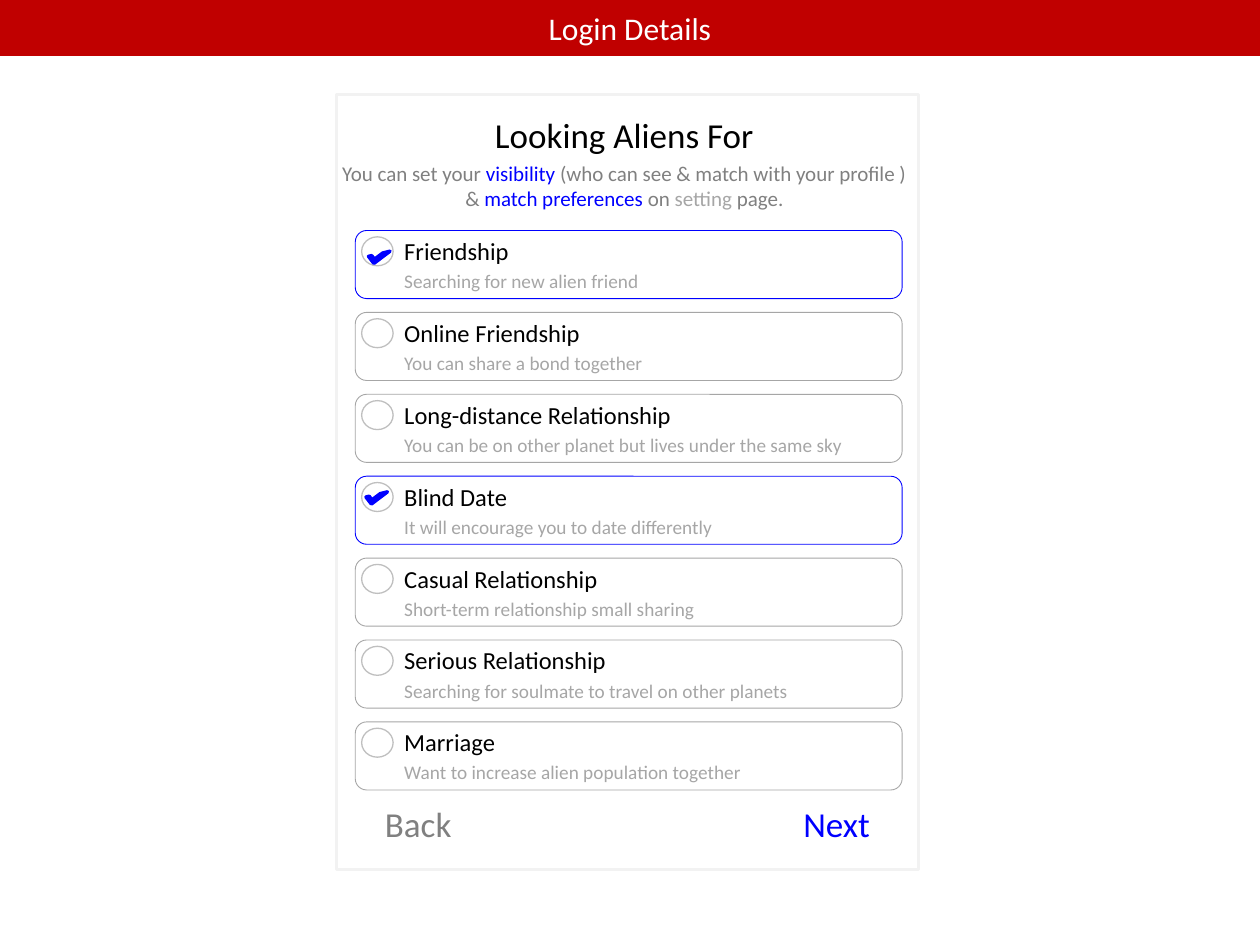
from pptx import Presentation
from pptx.dml.color import RGBColor
from pptx.enum.shapes import MSO_SHAPE
from pptx.enum.text import MSO_ANCHOR, PP_ALIGN
from pptx.oxml import parse_xml
from pptx.oxml.ns import nsdecls
from pptx.util import Pt

PX = 9144
RECT, ROUND = MSO_SHAPE.RECTANGLE, MSO_SHAPE.ROUNDED_RECTANGLE
OVAL, HALF_FRAME = MSO_SHAPE.OVAL, MSO_SHAPE.HALF_FRAME
LEFT, CENTER = PP_ALIGN.LEFT, PP_ALIGN.CENTER
BOTTOM, MIDDLE = MSO_ANCHOR.BOTTOM, MSO_ANCHOR.MIDDLE
BLUE, GRAY, LIGHT = "0000FF", "808080", "A6A6A6"
rgb = RGBColor.from_string

prs = Presentation()
prs.slide_width, prs.slide_height = 1000 * PX, 750 * PX
slide = prs.slides.add_slide(prs.slide_layouts[5])


def add_shape(kind, x, y, w, h, line, width, fill=None):
    sp = slide.shapes.add_shape(kind, x * PX, y * PX, w * PX, h * PX)
    sp.shadow.inherit = False
    if fill:
        sp.fill.solid()
        sp.fill.fore_color.rgb = rgb(fill)
    else:
        sp.fill.background()
    sp.line.color.rgb = rgb(line)
    sp.line.width = Pt(width)
    return sp


def add_text(x, y, w, h, align, *paragraphs):
    tf = slide.shapes.add_textbox(x * PX, y * PX, w * PX, h * PX).text_frame
    tf.word_wrap = True
    tf.vertical_anchor = BOTTOM
    for i, (size, runs) in enumerate(paragraphs):
        p = tf.add_paragraph() if i else tf.paragraphs[0]
        p.alignment = align
        p.space_before = Pt(size * 0.2)
        p.font.size = Pt(size)
        p.font.name = "Calibri"
        for text, color in runs:
            r = p.add_run()
            r.text = text
            r.font.color.rgb = rgb(color)


title = slide.shapes.title
title.left, title.top, title.width, title.height = 0, 0, 1000 * PX, 44 * PX
title._element.spPr.append(parse_xml(
    f'<a:prstGeom {nsdecls("a")} prst="roundRect"><a:avLst/></a:prstGeom>'))
title.fill.solid()
title.fill.fore_color.rgb = rgb("C00000")
title.line.color.rgb = rgb("C00000")
title.line.width = Pt(0.75)
tf = title.text_frame
tf.text = "Login Details"
tf.vertical_anchor = MIDDLE
p = tf.paragraphs[0]
p.alignment = CENTER
p.font.size = Pt(18)
p.font.name = "Calibri"
p.font.color.rgb = rgb("FFFFFF")

add_shape(RECT, 267, 75, 462, 615, "F2F2F2", 2)

options = [
    ("Friendship", "Searching for new alien friend", True),
    ("Online Friendship", "You can share a bond together", False),
    ("Long-distance Relationship",
     "You can be on other planet but lives under the same sky", False),
    ("Blind Date", "It will encourage you to date differently", True),
    ("Casual Relationship", "Short-term relationship small sharing", False),
    ("Serious Relationship",
     "Searching for soulmate to travel on other planets", False),
    ("Marriage", "Want to increase alien population together", False),
]
for i, (name, detail, chosen) in enumerate(options):
    y = 183 + 65 * i
    add_text(311, y, 405, 54, LEFT,
             (14, [(name, "000000")]), (11, [(detail, LIGHT)]))
    add_shape(ROUND, 282, y, 434, 54, BLUE if chosen else LIGHT, 0.5)
    add_shape(OVAL, 287, y + 5, 25, 23, "BFBFBF", 0.75, "FFFFFF")

for x, y in [(293, 198), (291, 389)]:
    tick = add_shape(HALF_FRAME, x, y, 16, 7, BLUE, 2, BLUE)
    tick.rotation = 322.9
    tick._element.spPr.xfrm.set("flipV", "1")

for x, label, color in [(267, "Back", GRAY), (599, "Next", BLUE)]:
    add_text(x, 617, 130, 58, CENTER, (20, [(label, color)]))

add_text(258, 108, 475, 64, CENTER,
         (20, [("Looking Aliens For", "000000")]),
         (12, [("You can set your ", GRAY), ("visibility ", BLUE),
               ("(who can see & match with your profile ) & ", GRAY),
               ("match preferences ", BLUE), ("on ", GRAY),
               ("setting", LIGHT), (" page.", GRAY)]))

prs.save("out.pptx")
